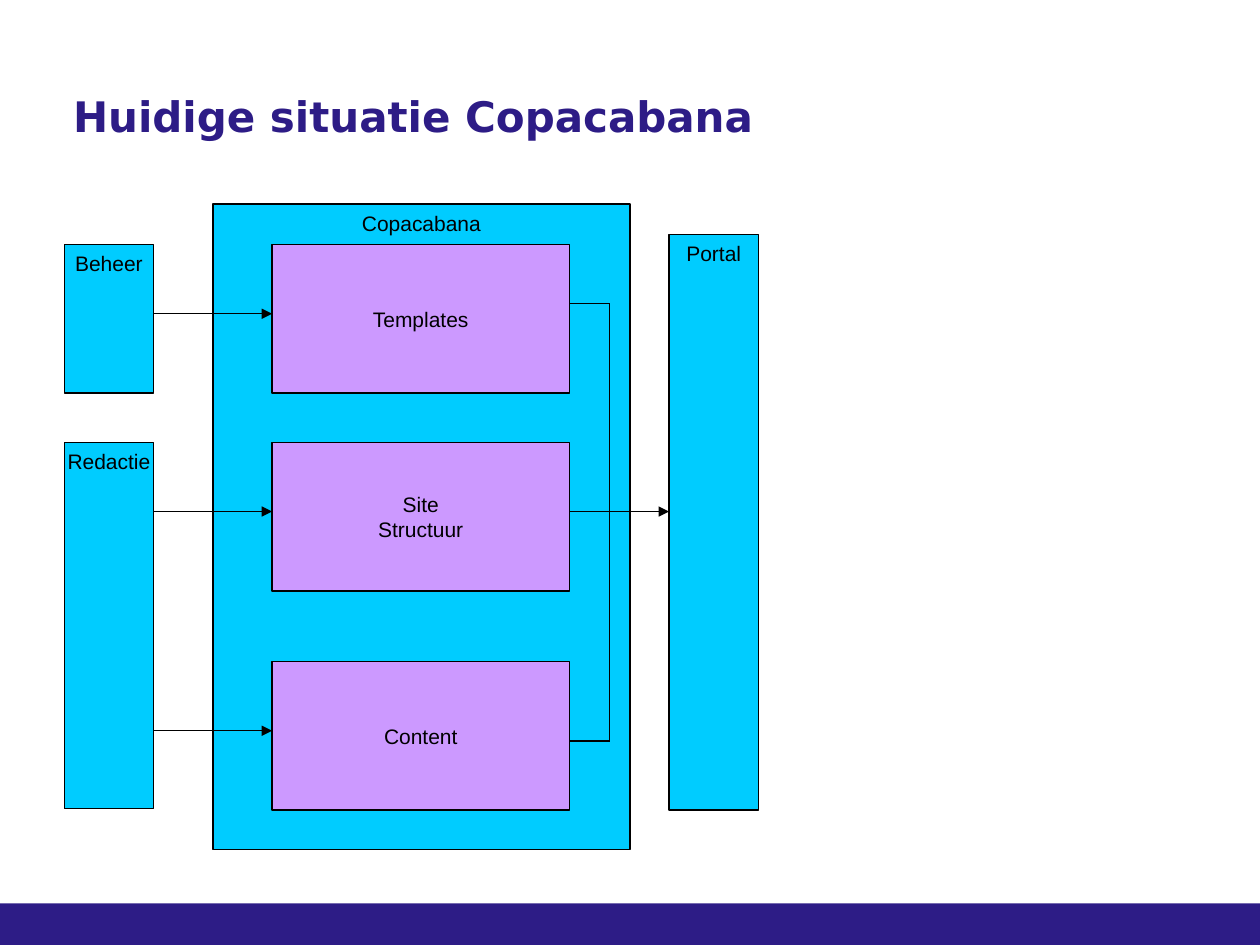
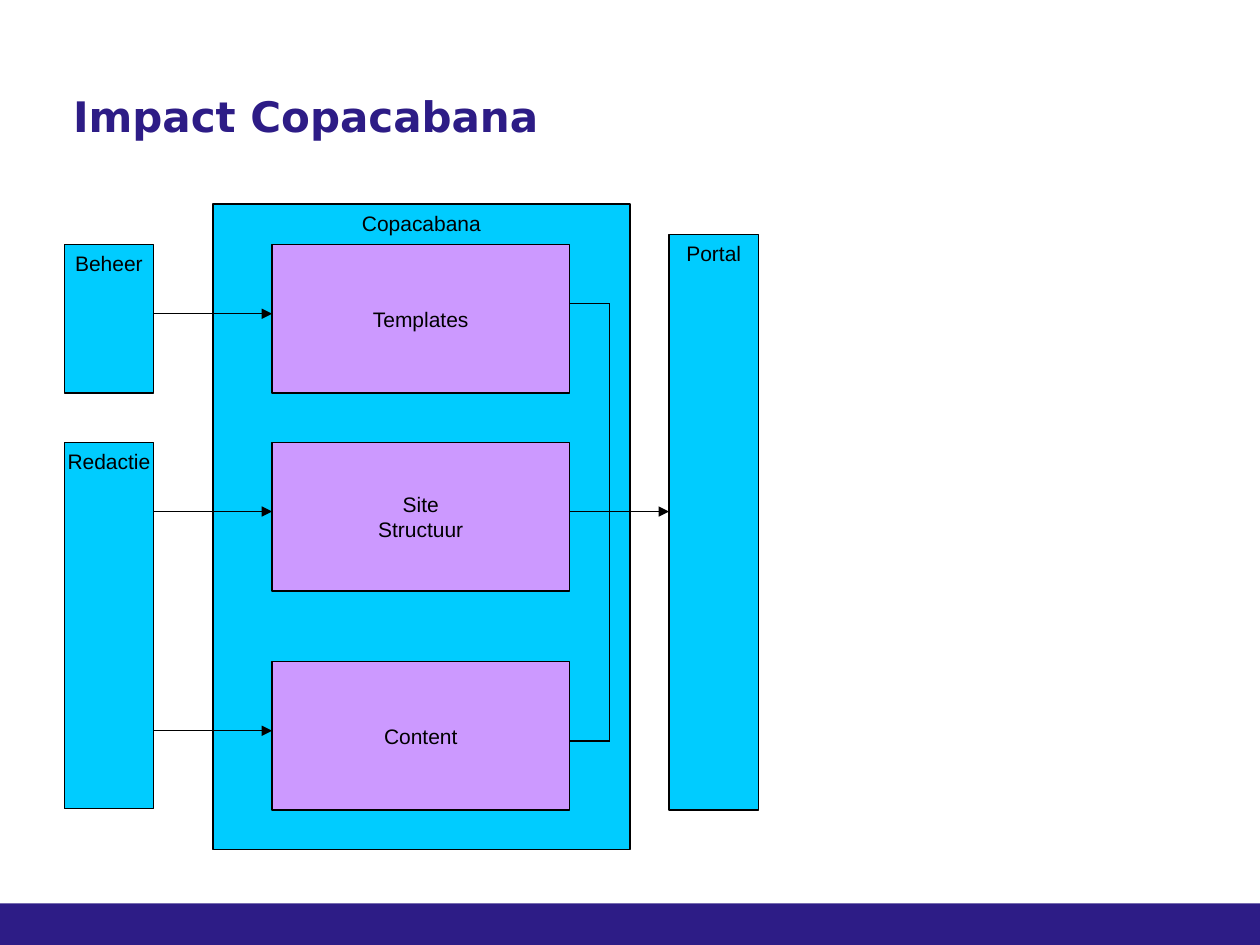
import pptx
import pptx.dml.color
import pptx.enum.shapes
import pptx.enum.text
import pptx.oxml.ns
import pptx.util
from lxml import etree

Inches = pptx.util.Inches
Pt = pptx.util.Pt
ANCHOR = pptx.enum.text.MSO_ANCHOR

# Shared style
INDIGO, CYAN, LILAC, BLACK = "2D1C86", "00CCFF", "CC99FF", "000000"
LINE_WIDTH = 0.75

# Diagram grid, in inches
SIDE_X, SIDE_W = 0.51, 0.71
PART_X, PART_W, PART_H = 2.16, 2.36, 1.18
PORTAL_X = 5.31
BUS_X = 4.84
PART_TOPS = {"Templates": 1.94, "Site\nStructuur": 3.51, "Content": 5.25}
ARROW_OFFSET = 0.55
BUS_TOP, BUS_MIDDLE, BUS_BOTTOM = 2.41, 4.06, 5.88


def rgb(color):
    return pptx.dml.color.RGBColor.from_string(color)


def add_rect(slide, x, y, w, h, fill):
    sp = slide.shapes.add_shape(pptx.enum.shapes.MSO_SHAPE.RECTANGLE,
                                Inches(x), Inches(y), Inches(w), Inches(h))
    sp.shadow.inherit = False
    sp.fill.solid()
    sp.fill.fore_color.rgb = rgb(fill)
    sp.line.fill.background()
    return sp


def add_box(slide, text, x, y, w, h, fill=CYAN, anchor=ANCHOR.TOP):
    sp = add_rect(slide, x, y, w, h, fill)
    sp.line.color.rgb = rgb(BLACK)
    sp.line.width = Pt(LINE_WIDTH)
    tf = sp.text_frame
    tf.word_wrap = False
    tf.vertical_anchor = anchor
    tf.text = text
    for p in tf.paragraphs:
        p.alignment = pptx.enum.text.PP_ALIGN.CENTER
        p.font.name = "Arial"
        p.font.size = Pt(12)
        p.font.color.rgb = rgb(BLACK)


def add_line(slide, x1, y1, x2, y2, arrow=False):
    line = slide.shapes.add_connector(
        pptx.enum.shapes.MSO_CONNECTOR.STRAIGHT,
        Inches(x1), Inches(y1), Inches(x2), Inches(y2))
    line.line.color.rgb = rgb(BLACK)
    line.line.width = Pt(LINE_WIDTH)
    if arrow:
        ln = line.line._get_or_add_ln()
        etree.SubElement(ln, pptx.oxml.ns.qn("a:tailEnd"), type="triangle")
    etree.SubElement(line._element.spPr, pptx.oxml.ns.qn("a:effectLst"))


def add_titled_slide(prs, title):
    slide = prs.slides.add_slide(prs.slide_layouts[5])
    add_rect(slide, 0, 7.17, 10, 0.33, INDIGO)  # footer band
    sp = slide.shapes.title
    sp.left, sp.top = Inches(0.58), Inches(0.67)
    sp.width, sp.height = Inches(7.75), Inches(0.93)
    tf = sp.text_frame
    tf.margin_left = tf.margin_top = tf.margin_right = tf.margin_bottom = 0
    tf.vertical_anchor = ANCHOR.TOP
    tf.word_wrap = True
    tf.text = title
    p = tf.paragraphs[0]
    p.alignment = pptx.enum.text.PP_ALIGN.LEFT
    p.line_spacing = Pt(32)
    p.font.name = "DejaVu Sans"
    p.font.size = Pt(24)
    p.font.bold = True
    p.font.color.rgb = rgb(INDIGO)
    return slide


def add_system_diagram(slide):
    # System with its parts
    add_box(slide, "Copacabana", 1.69, 1.62, 3.31, 5.12)
    for name, top in PART_TOPS.items():
        add_box(slide, name, PART_X, top, PART_W, PART_H, LILAC, ANCHOR.MIDDLE)

    # Users and portal
    add_box(slide, "Redactie", SIDE_X, 3.51, SIDE_W, 2.91)
    add_box(slide, "Portal", PORTAL_X, 1.86, SIDE_W, 4.57)
    add_box(slide, "Beheer", SIDE_X, 1.94, SIDE_W, PART_H)

    # Arrows from the users into the parts
    for top in PART_TOPS.values():
        y = top + ARROW_OFFSET
        add_line(slide, SIDE_X + SIDE_W, y, PART_X, y, arrow=True)

    # Bus that joins the parts and feeds the portal
    add_line(slide, BUS_X, BUS_MIDDLE, PORTAL_X, BUS_MIDDLE, arrow=True)
    add_line(slide, BUS_X, BUS_TOP, BUS_X, BUS_BOTTOM)
    for y in (BUS_TOP, BUS_MIDDLE, BUS_BOTTOM):
        add_line(slide, BUS_X, y, PART_X + PART_W, y)


def main():
    prs = pptx.Presentation()
    prs.slide_width, prs.slide_height = Inches(10), Inches(7.5)
    for title in ("Huidige situatie Copacabana", "Impact Copacabana"):
        add_system_diagram(add_titled_slide(prs, title))
    prs.save("out.pptx")


if __name__ == "__main__":
    main()
